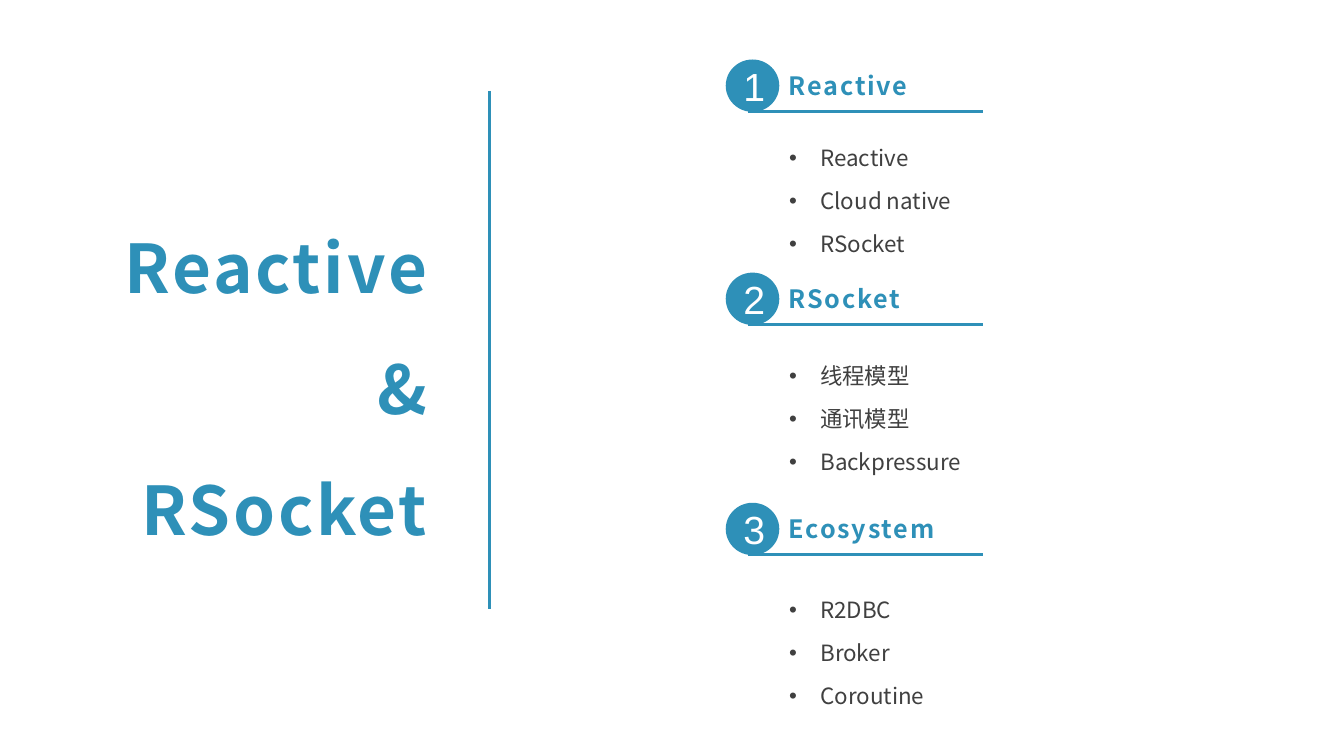
from dataclasses import dataclass

from lxml import etree
from pptx import Presentation
from pptx.dml.color import RGBColor
from pptx.enum.shapes import MSO_CONNECTOR, MSO_SHAPE
from pptx.enum.text import MSO_ANCHOR, MSO_AUTO_SIZE, PP_ALIGN
from pptx.oxml.ns import qn
from pptx.util import Cm, Pt

STRAIGHT = MSO_CONNECTOR.STRAIGHT
OVAL = MSO_SHAPE.OVAL
TOP, MIDDLE = MSO_ANCHOR.TOP, MSO_ANCHOR.MIDDLE
NO_FIT = MSO_AUTO_SIZE.NONE
LEFT, CENTER, RIGHT = PP_ALIGN.LEFT, PP_ALIGN.CENTER, PP_ALIGN.RIGHT


@dataclass(frozen=True)
class Theme:
    blue: RGBColor = RGBColor(0x2E, 0x90, 0xB8)
    gray: RGBColor = RGBColor(0x40, 0x40, 0x40)
    white: RGBColor = RGBColor(0xFF, 0xFF, 0xFF)
    font: str = "Noto Sans CJK SC"
    number_font: str = "Arial"
    title: Pt = Pt(48)
    number: Pt = Pt(28)
    heading: Pt = Pt(18)
    item: Pt = Pt(16)
    rule: Pt = Pt(2.25)


theme = Theme()


def format_text(p, name, size, color, bold=False, spacing=0, align=LEFT):
    p.alignment = align
    for r in p.runs:
        r.font.name, r.font.size, r.font.bold = name, size, bold
        r.font.color.rgb = color
        rPr = r.font._element
        rPr.set("spc", str(spacing))
        ea = etree.Element(qn("a:ea"), typeface=name)
        rPr.find(qn("a:latin")).addnext(ea)


def add_rule(shapes, x1, y1, x2, y2):
    line = shapes.add_connector(STRAIGHT, Cm(x1), Cm(y1), Cm(x2), Cm(y2))
    line.line.color.rgb = theme.blue
    line.line.width = theme.rule
    etree.SubElement(line._element.spPr, qn("a:effectLst"))


prs = Presentation()
prs.slide_width, prs.slide_height = Cm(33.87), Cm(19.05)
s = prs.slides.add_slide(prs.slide_layouts.get_by_name("Comparison"))

# Title and divider
title = s.shapes.title
title.left, title.top, title.width, title.height = Cm(2.44), Cm(4.55), Cm(8.59), Cm(9.5)
tf = title.text_frame
tf.text = "Reactive\n&\nRSocket"
tf.auto_size, tf.vertical_anchor, tf.word_wrap = NO_FIT, TOP, True
for p in tf.paragraphs:
    p.line_spacing = 1.5
    format_text(p, theme.font, theme.title, theme.blue, True, 200, RIGHT)
add_rule(s.shapes, 12.34, 2.29, 12.34, 15.34)

# Sections: heading, heading top, list top, list items
sections = [
    ("Reactive", 1.5, 3.1, ["Reactive", "Cloud native", "RSocket"]),
    ("RSocket", 6.87, 8.59, ["线程模型", "通讯模型", "Backpressure"]),
    ("Ecosystem", 12.67, 14.5, ["R2DBC", "Broker", "Coroutine"]),
]
bodies = [ph for ph in s.placeholders if 1 <= ph.placeholder_format.idx <= 4]

for number, (heading, top, list_top, items) in enumerate(sections, 1):
    group = s.shapes.add_group_shape()

    # Number badge
    sp = group.shapes.add_shape(OVAL, Cm(18.29), Cm(top), Cm(1.35), Cm(1.32))
    sp.shadow.inherit = False
    sp.fill.solid()
    sp.fill.fore_color.rgb = theme.blue
    sp.line.fill.background()
    tf = sp.text_frame
    tf.text = str(number)
    tf.vertical_anchor = MIDDLE
    format_text(tf.paragraphs[0], theme.number_font, theme.number, theme.white, align=CENTER)

    # Underlined heading
    add_rule(group.shapes, 18.85, top + 1.3, 24.77, top + 1.3)
    box = group.shapes.add_textbox(Cm(19.63), Cm(top + 0.15), Cm(5.13), Cm(1.02))
    tf = box.text_frame
    tf.text = heading
    tf.word_wrap = True
    format_text(tf.paragraphs[0], theme.font, theme.heading, theme.blue, True, 130)

    # Bulleted list
    body = bodies[number - 1]
    body.left, body.top, body.width, body.height = Cm(19.63), Cm(list_top), Cm(8.1), Cm(3.5)
    tf = body.text_frame
    tf.text = "\n".join(items)
    tf.auto_size, tf.vertical_anchor, tf.word_wrap = NO_FIT, TOP, True
    for p in tf.paragraphs:
        pPr = p._p.get_or_add_pPr()
        pPr.set("marL", str(Cm(0.79)))
        pPr.set("indent", str(-Cm(0.79)))
        etree.SubElement(pPr, qn("a:buFont"), typeface="Arial")
        etree.SubElement(pPr, qn("a:buChar"), char="•")
        p.line_spacing, p.space_before = 1.6, Pt(0)
        format_text(p, theme.font, theme.item, theme.gray)

# Unused placeholders
for ph in list(s.placeholders):
    if not ph.has_text_frame or not ph.text_frame.text:
        ph._element.getparent().remove(ph._element)

prs.save("out.pptx")
